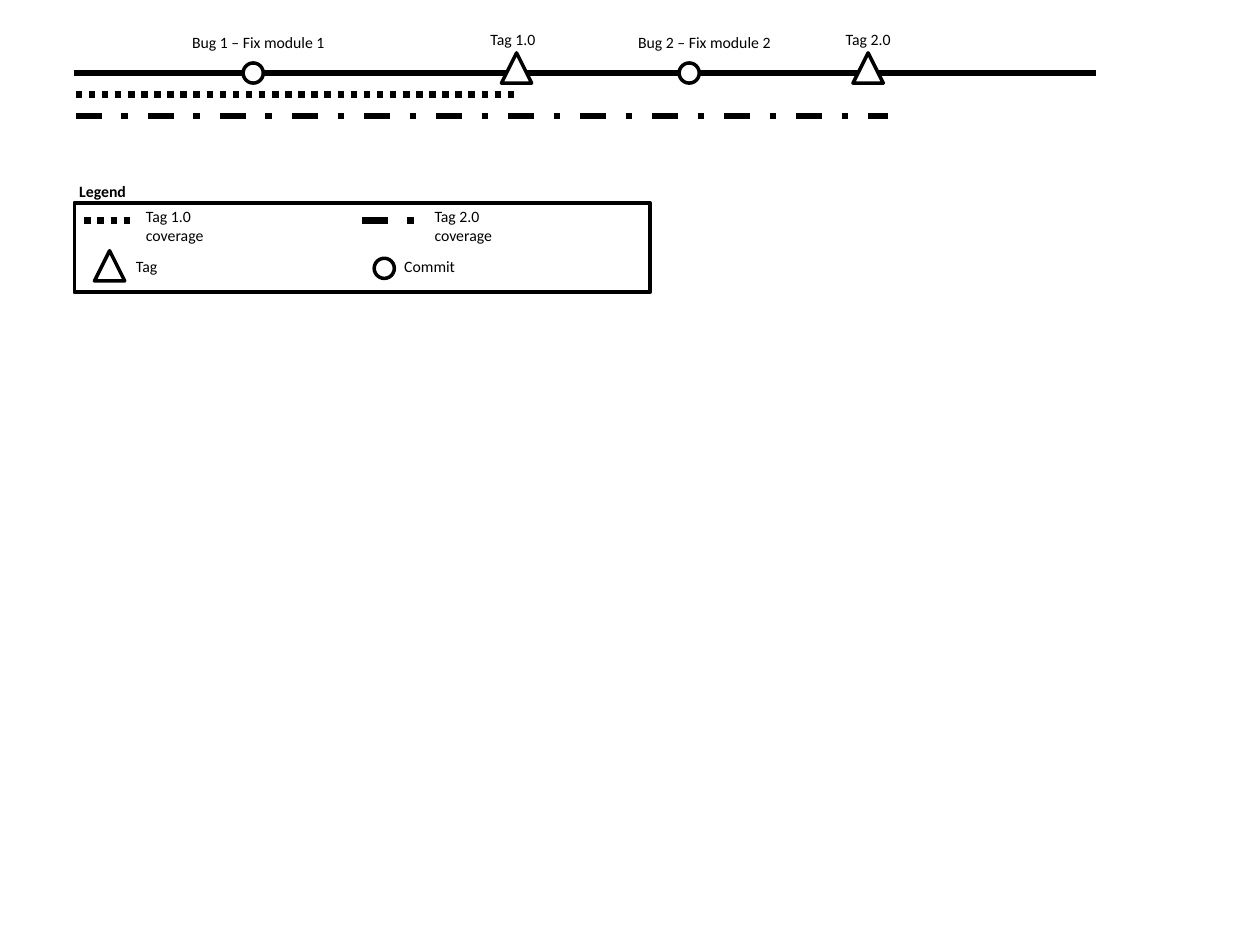
from pptx import Presentation, util as u
from pptx.dml import color
from pptx.enum import dml, shapes, text
from pptx.oxml import ns
from lxml import etree

INK, PAPER = "000000", "FFFFFF"
DOT, DASH = dml.MSO_LINE.ROUND_DOT, dml.MSO_LINE.DASH_DOT
SIZES = {"TAG": (shapes.MSO_SHAPE.ISOSCELES_TRIANGLE, 0.24),
         "COMMIT": (shapes.MSO_SHAPE.OVAL, 0.16)}

deck = Presentation()
deck.slide_width, deck.slide_height = u.Inches(10), u.Inches(7.5)
slide = deck.slides.add_slide(deck.slide_layouts[6])


def inches(*vals):
    return [u.Inches(v) for v in vals]


def paint(part, tone):
    part.solid()
    part.fore_color.rgb = color.RGBColor.from_string(tone)


def rule(left, y, width, dash=None):
    line = slide.shapes.add_connector(
        shapes.MSO_CONNECTOR.STRAIGHT, *inches(left, y, left + width, y))
    paint(line.line.fill, INK)
    line.line.width = u.Pt(3.75)
    if dash:
        line.line.dash_style = dash
    etree.SubElement(line._element.spPr, ns.qn("a:effectLst"))


def shape(form, left, top, width, height, fill=None):
    item = slide.shapes.add_shape(form, *inches(left, top, width, height))
    item.shadow.inherit = False
    if fill:
        paint(item.fill, fill)
    else:
        item.fill.background()
    paint(item.line.fill, INK)
    item.line.width = u.Pt(2)


def mark(kind, mid, y):
    form, size = SIZES[kind]
    shape(form, mid - size / 2, y - size / 2, size, size, PAPER)


def label(words, left, top, width, height=0.25, bold=False, center=False):
    frame = slide.shapes.add_textbox(*inches(left, top, width, height)).text_frame
    frame.word_wrap = True
    frame.auto_size = text.MSO_AUTO_SIZE.SHAPE_TO_FIT_TEXT
    frame.text = words
    for para in frame.paragraphs:
        para.alignment = text.PP_ALIGN.CENTER if center else text.PP_ALIGN.LEFT
        font = para.runs[0].font
        font.name, font.size, font.bold = "Calibri", u.Pt(9), bold
        paint(font.fill, INK)


def history(left, top, width):
    gap = 0.17
    rule(left, top, width)
    rule(left + 0.01, top + gap, 3.53, DOT)
    rule(left + 0.01, top + 2 * gap, 6.45, DASH)
    events = [("COMMIT", "Bug 1 – Fix module 1", 1.42, 1.46),
              ("TAG", "Tag 1.0", 3.51, 3.48),
              ("COMMIT", "Bug 2 – Fix module 2", 4.88, 5.0),
              ("TAG", "Tag 2.0", 6.3, 6.3)]
    for kind, words, mid, near in events:
        tag = kind == "TAG"
        wide = 1.1 if tag else 1.34
        mark(kind, left + mid, top - (0.04 if tag else 0))
        label(words, left + near - wide / 2, top - (0.39 if tag else 0.37),
              wide, center=True)


def legend(left, top, width, height):
    label("Legend", left - 0.06, top - 0.22, 1.18, bold=True)
    shape(shapes.MSO_SHAPE.RECTANGLE, left, top, width, height)
    keys = [("Tag 1.0", DOT, 0.08, 0.39, 0.47), ("Tag 2.0", DASH, 2.28, 0.56, 2.76)]
    for name, dash, start, span, near in keys:
        rule(left + start, top + 0.14, span, dash)
        label(name + " \ncoverage", left + near, top - 0.02, 1.18, 0.4)
    for kind, mid, drop, near in [("TAG", 0.28, 0.5, 0.39), ("COMMIT", 2.46, 0.52, 2.52)]:
        mark(kind, left + mid, top + drop)
        label(kind.title(), left + near, top + 0.38, 1.18)


history(0.59, 0.58, 8.11)
legend(0.59, 1.61, 4.57, 0.71)
deck.save("out.pptx")
